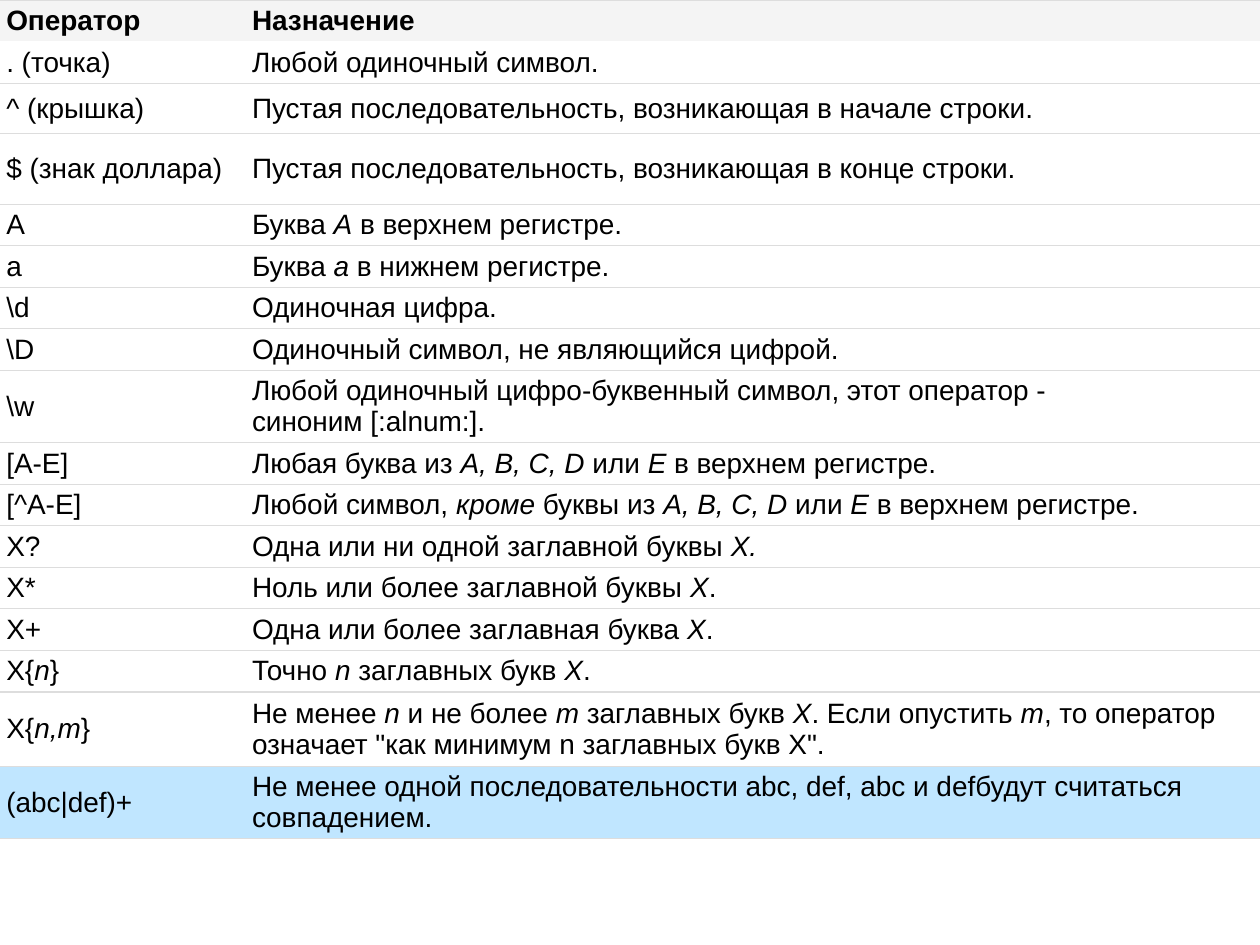
from typing import NamedTuple

from lxml.etree import SubElement
from pptx import Presentation
from pptx.dml.color import RGBColor
from pptx.enum.text import MSO_ANCHOR
from pptx.oxml.ns import qn
from pptx.table import Table, _Cell
from pptx.util import Inches, Pt

BLACK, WHITE, RULE = "000000", "FFFFFF", "DDDDDD"
HEADER_FILL, HIGHLIGHT_FILL = "F4F4F4", "C0E6FF"
COLUMN_WIDTHS = (1.95, 8.05)


class Row(NamedTuple):
    """One table row; in its texts _x_ marks italics and ~ a non-breaking space."""
    operator: str
    meaning: str
    height: float = 0.33
    fill: str = WHITE
    bold: bool = False
    bottom: str = RULE


ROWS = [
    Row("Оператор", "Назначение", fill=HEADER_FILL, bold=True, bottom=WHITE),
    Row(".~(точка)", "Любой одиночный символ."),
    Row("^~(крышка)", "Пустая последовательность, возникающая в начале строки.", 0.4),
    Row("$~(знак доллара)", "Пустая последовательность, возникающая в конце строки.", 0.56),
    Row("A", "Буква~_A_~в верхнем регистре."),
    Row("a", "Буква~_a_~в нижнем регистре."),
    Row(r"\d", "Одиночная цифра."),
    Row(r"\D", "Одиночный символ, не являющийся цифрой."),
    Row(r"\w", "Любой одиночный цифро-буквенный символ, этот оператор - "
        "синоним~[:alnum:].", 0.56),
    Row("[A-E]", "Любая буква из~_A, B, C, D_~или~_E_~в верхнем регистре."),
    Row("[^A-E]", "Любой символ,~_кроме_~буквы из~_A, B, C, D_~или~_E_~в верхнем регистре."),
    Row("X?", "Одна или ни одной заглавной буквы~_X._"),
    Row("X*", "Ноль или более заглавной буквы~_X_."),
    Row("X+", "Одна или более заглавная буква~_X_."),
    Row("X{_n_}", "Точно~_n_~заглавных букв~_X_."),
    Row("X{_n,m_}", "Не менее~_n_~и не более~_m_~заглавных букв~_X_. Если опустить~_m_, "
        'то оператор означает "как минимум n заглавных букв X".', 0.59),
    Row("(abc|def)+", "Не менее одной последовательности~abc,~def,~abc~и~defбудут "
        "считаться совпадением.", 0.56, HIGHLIGHT_FILL),
]


def color(value: str) -> RGBColor:
    return RGBColor.from_string(value)


def set_borders(cell: _Cell, top: str, bottom: str) -> None:
    """Rule the cell above and below only; borders must precede the fill in tcPr."""
    properties = cell._tc.get_or_add_tcPr()
    sides = (("a:lnL", None), ("a:lnR", None), ("a:lnT", top), ("a:lnB", bottom))
    for position, (tag, line_color) in enumerate(sides):
        line = SubElement(properties, qn(tag), w=str(Pt(0.75)))
        if line_color is None:
            SubElement(line, qn("a:noFill"))
        else:
            fill = SubElement(line, qn("a:solidFill"))
            SubElement(fill, qn("a:srgbClr"), val=line_color)
        properties.insert(position, line)


def write_text(cell: _Cell, text: str, bold: bool) -> None:
    paragraph = cell.text_frame.paragraphs[0]
    font = paragraph.font
    font.name, font.size, font.bold = "Arial", Pt(16), bold
    font.color.rgb = color(BLACK)
    for index, part in enumerate(text.replace("~", chr(160)).split("_")):
        if part:
            run = paragraph.add_run()
            run.text = part
            if index % 2:
                run.font.italic = True


def fill_row(table: Table, index: int, row: Row, top: str) -> None:
    table.rows[index].height = Inches(row.height)
    for column, text in enumerate((row.operator, row.meaning)):
        cell = table.cell(index, column)
        cell.vertical_anchor = MSO_ANCHOR.MIDDLE
        cell.margin_left = cell.margin_right = Inches(0.05)
        cell.margin_top = cell.margin_bottom = Inches(0.04)
        cell.fill.solid()
        cell.fill.fore_color.rgb = color(row.fill)
        set_borders(cell, top, row.bottom)
        write_text(cell, text, row.bold)


def main() -> None:
    presentation = Presentation()
    presentation.slide_width, presentation.slide_height = Inches(10), Inches(7.5)
    slide = presentation.slides.add_slide(presentation.slide_layouts[6])
    total_height = sum(row.height for row in ROWS)
    table = slide.shapes.add_table(
        len(ROWS), len(COLUMN_WIDTHS), 0, 0, Inches(sum(COLUMN_WIDTHS)), Inches(total_height)
    ).table
    table.first_row = table.horz_banding = False
    for column, width in zip(table.columns, COLUMN_WIDTHS):
        column.width = Inches(width)
    top = RULE
    for index, row in enumerate(ROWS):
        fill_row(table, index, row, top)
        top = row.bottom
    presentation.save("out.pptx")


if __name__ == "__main__":
    main()
